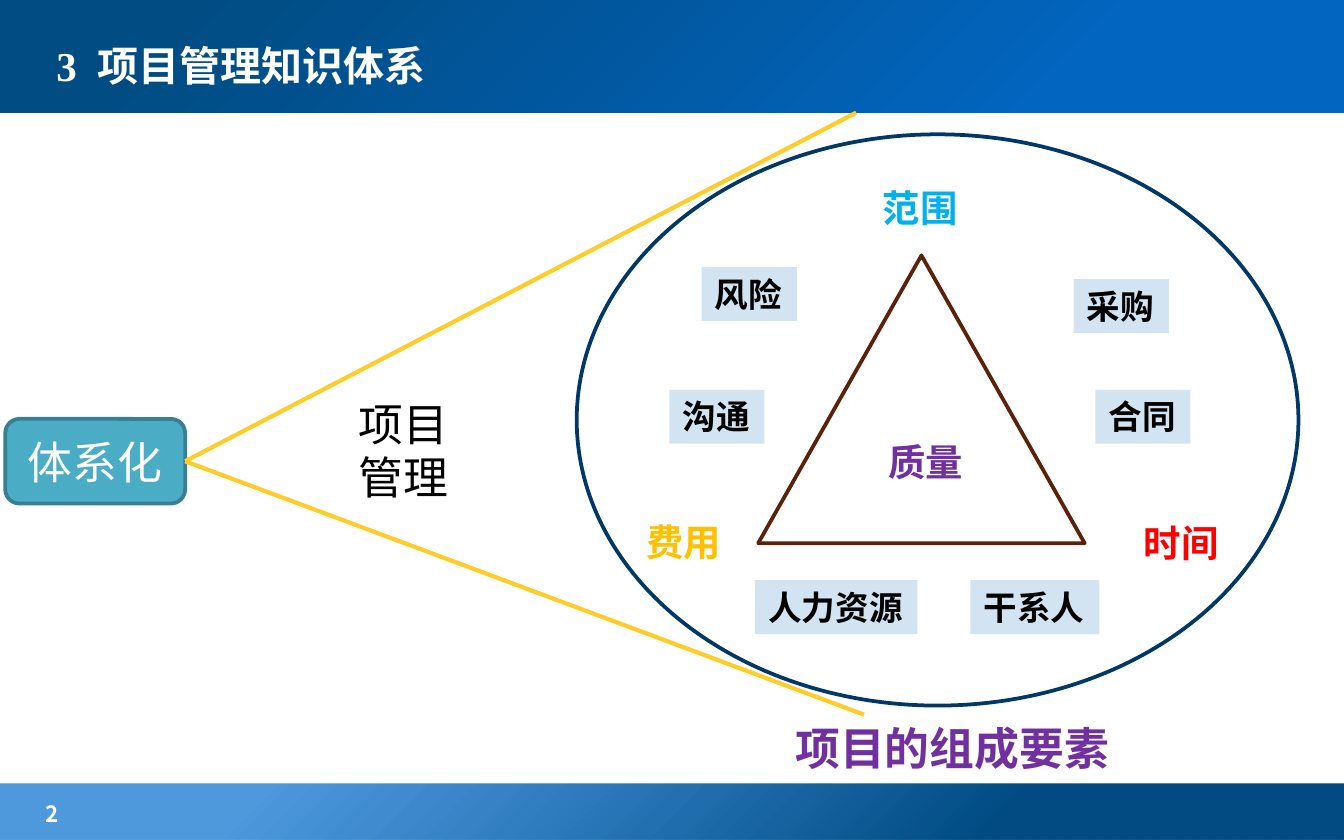
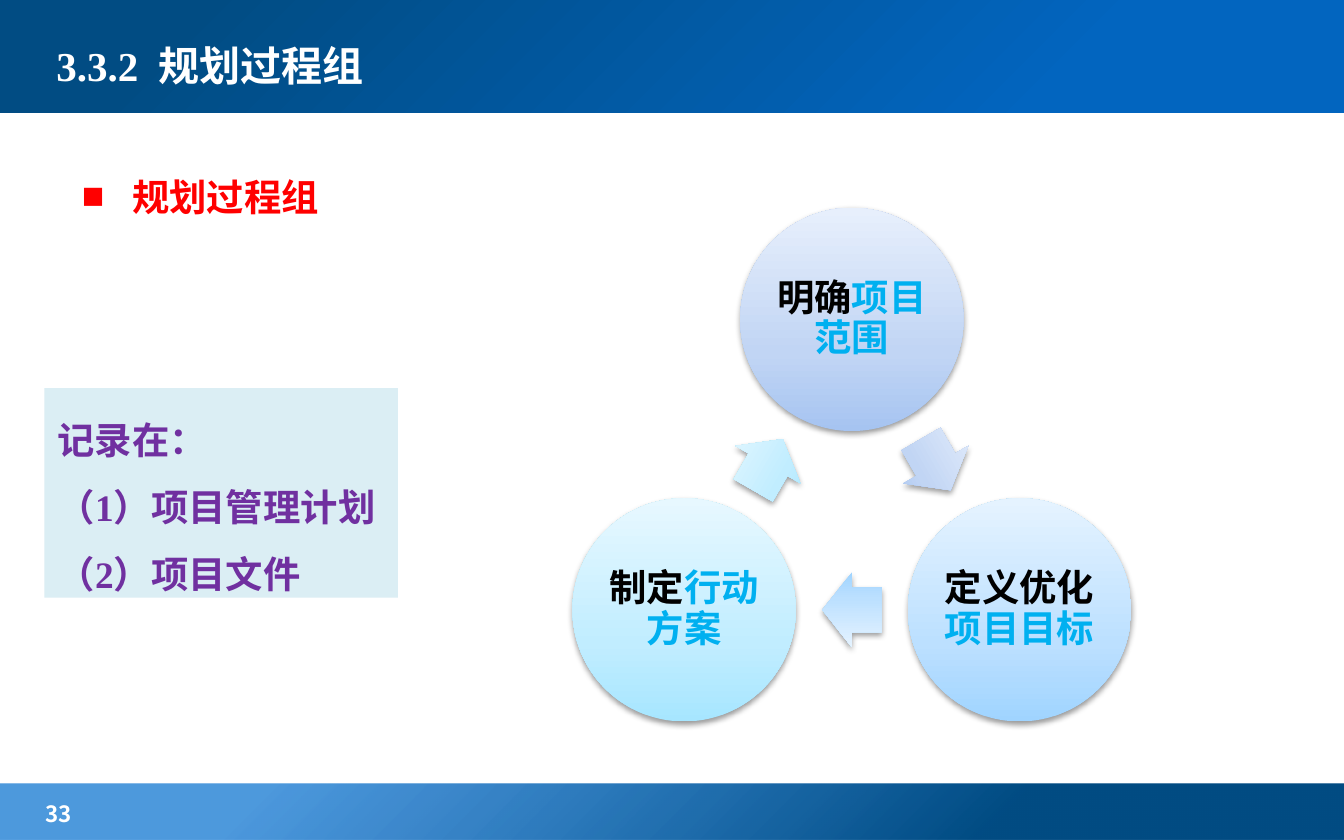
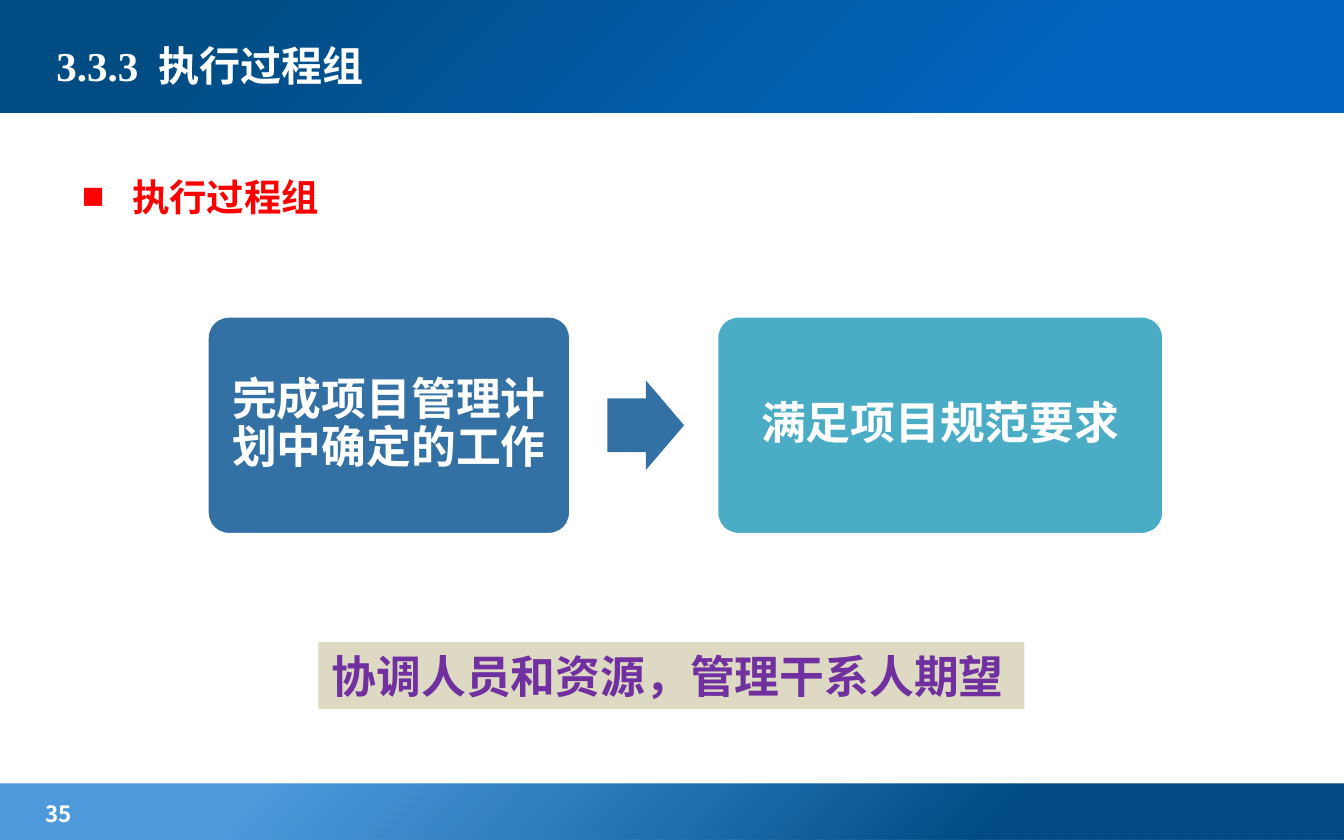
"""Build three slides on the project management body of knowledge."""
from math import cos, radians, sin

from lxml import etree
from pptx import Presentation
from pptx.dml.color import RGBColor
from pptx.enum.shapes import MSO_CONNECTOR, MSO_SHAPE
from pptx.enum.text import MSO_ANCHOR, MSO_AUTO_SIZE, PP_ALIGN
from pptx.oxml import parse_xml
from pptx.oxml.ns import nsdecls, qn
from pptx.util import Cm, Pt

RECT = MSO_SHAPE.RECTANGLE
ROUND = MSO_SHAPE.ROUNDED_RECTANGLE
OVAL = MSO_SHAPE.OVAL
PEAK = MSO_SHAPE.ISOSCELES_TRIANGLE
ARROW = MSO_SHAPE.RIGHT_ARROW
STRAIGHT = MSO_CONNECTOR.STRAIGHT
TOP, MIDDLE = MSO_ANCHOR.TOP, MSO_ANCHOR.MIDDLE
LEFT, CENTER = PP_ALIGN.LEFT, PP_ALIGN.CENTER
GROW, FIXED = MSO_AUTO_SIZE.SHAPE_TO_FIT_TEXT, MSO_AUTO_SIZE.NONE

SANS, SERIF, PLAIN = "Noto Sans CJK SC", "Times New Roman", "Roboto"
COLORS = {
    "white": "FFFFFF", "black": "000000", "red": "FF0000", "sky": "00B0F0",
    "gold": "FFC000", "purple": "7030A0", "navy": "013868", "brown": "5C210A",
    "ray": "FFCC29", "teal": "4BACC6", "rim": "377F92", "label": "D2E3F1",
    "note": "DBEEF4", "sand": "DDD9C3", "steel": "3371A4",
    "deep": "014C83", "blue": "0265BF", "light": "026DCE",
}
CORNER = '<a:path path="circle"><a:fillToRect l="100000" t="100000"/></a:path>'
RISE = '<a:lin ang="16200000" scaled="0"/>'


class Deck:
    """Hold the style and the current slide."""

    def __init__(self):
        self.prs = Presentation()
        self.prs.slide_width, self.prs.slide_height = Cm(25.4), Cm(15.88)
        self.layout = self.prs.slide_layouts[5]
        for holder in list(self.layout.placeholders)[1:]:
            holder.element.getparent().remove(holder.element)
        self.slide = None

    def page(self, title, number):
        self.slide = self.prs.slides.add_slide(self.layout)
        if len(self.prs.slides) == 1:
            self.bands()
        head = self.slide.shapes.title
        head.left, head.top, head.width, head.height = map(Cm, (0.81, 0.33, 16.2, 1.8))
        self.put(head, [[(title, "white")]], 22, anchor=MIDDLE)
        self.text((0.51, 15.01, 3.99, 0.66), f" {number}", 12, "white", SANS)

    def bands(self):
        foot = self.shape(RECT, (0, 14.81, 25.4, 1.07))
        self.fade(foot, [(26, "deep", 100), (80, "light", 70)], CORNER)
        top = self.shape(RECT, (0, -0.08, 25.4, 2.21))
        self.fade(top, [(21, "blue", 100), (86, "deep", 100)], CORNER)
        for band in (top, foot):
            self.layout.shapes.element.insert(2, band.element)

    def color(self, name):
        return RGBColor.from_string(COLORS.get(name, name))

    def shape(self, kind, box, fill=None, line=None, adj=()):
        item = self.slide.shapes.add_shape(kind, *map(Cm, box))
        item.shadow.inherit = False
        if fill:
            item.fill.solid()
            item.fill.fore_color.rgb = self.color(fill)
        else:
            item.fill.background()
        if line:
            item.line.color.rgb = self.color(line)
            item.line.width = Pt(2)
        else:
            item.line.fill.background()
        for i, value in enumerate(adj):
            item.adjustments[i] = value
        return item

    def fade(self, item, stops, course):
        marks = "".join(
            f'<a:gs pos="{at * 1000}"><a:srgbClr val="{self.color(name)}">'
            f'<a:alpha val="{alpha * 1000}"/></a:srgbClr></a:gs>'
            for at, name, alpha in stops)
        props = item.element.spPr
        props.replace(props.find(qn("a:noFill")), parse_xml(
            f'<a:gradFill {nsdecls("a")} rotWithShape="1">'
            f'<a:gsLst>{marks}</a:gsLst>{course}</a:gradFill>'))

    def shade(self, item):
        item.element.spPr.find(qn("a:effectLst")).append(parse_xml(
            f'<a:outerShdw {nsdecls("a")} blurRad="40000" dist="20000" dir="5400000" '
            'rotWithShape="0"><a:srgbClr val="000000"><a:alpha val="38000"/>'
            '</a:srgbClr></a:outerShdw>'))

    def put(self, item, paras, size, font=SERIF, bold=True, align=LEFT,
            anchor=TOP, gap=None, inset=None, fit=FIXED, wrap=True):
        frame = item.text_frame
        frame.word_wrap, frame.auto_size = wrap, fit
        frame.vertical_anchor = anchor
        if inset is not None:
            frame.margin_left = frame.margin_right = Cm(inset)
            frame.margin_top = frame.margin_bottom = Cm(inset)
        for i, runs in enumerate(paras):
            para = frame.add_paragraph() if i else frame.paragraphs[0]
            para.alignment = align
            if gap:
                para.line_spacing = gap
            for words, color in runs:
                run = para.add_run()
                run.text = words
                run.font.size, run.font.bold = Pt(size), bold
                run.font.name = font
                run.font.color.rgb = self.color(color)
                east = etree.SubElement(run.font._element, qn("a:ea"))
                east.set("typeface", SANS)

    def text(self, box, words, size, color, font=SERIF, **style):
        item = self.slide.shapes.add_textbox(*map(Cm, box))
        self.put(item, [[(words, color)]], size, font, **style)
        return item

    def label(self, box, words, size=18, color="black", fill="label", font=PLAIN):
        item = self.shape(RECT, box, fill)
        self.put(item, [[(words, color)]], size, font, fit=GROW, wrap=False)

    def bullet(self, words):
        item = self.text((1.3, 2.74, 22.81, 9.91), words, 20, "red", gap=1.5)
        props = item.text_frame.paragraphs[0]._p.get_or_add_pPr()
        props.set("marL", str(Cm(0.95)))
        props.set("indent", str(-Cm(0.95)))
        etree.SubElement(props, qn("a:buFont")).set("typeface", SERIF)
        etree.SubElement(props, qn("a:buChar")).set("char", "■")

    def ray(self, x, y, goal):
        line = self.slide.shapes.add_connector(STRAIGHT, Cm(x), Cm(y), Cm(x), Cm(y))
        line.end_connect(goal, 3)
        line.line.color.rgb = self.color("ray")
        line.line.width = Pt(2.25)
        etree.SubElement(line.element.spPr, qn("a:effectLst"))


def system(deck):
    deck.page("3  项目管理知识体系", 2)
    deck.text((14.78, 13.51, 6.78, 1.45), "项目的组成要素", 24, "purple", SANS)
    for x, y, words, color in (
            (15.49, 3.48, "范围", "sky"),
            (20.42, 9.8, "时间", "red"),
            (11.02, 9.78, "费用", "gold")):
        deck.text((x, y, 3.81, 1.02), words, 20, color, SANS,
                  align=CENTER, gap=0.9, fit=GROW)
    deck.label((16.54, 8.18, 2.16, 1.12), "质量", 20, "purple", "white", SERIF)
    deck.shape(OVAL, (10.9, 2.54, 13.64, 10.8), line="navy")
    deck.shape(PEAK, (14.33, 4.83, 6.17, 5.44), line="brown")
    for x, y, width, words, font in (
            (13.26, 5.05, 1.8, "风险", PLAIN),
            (18.34, 10.97, 2.44, "干系人", PLAIN),
            (14.27, 10.97, 3.07, "人力资源", PLAIN),
            (12.65, 7.37, 1.8, "沟通", SERIF),
            (20.29, 5.28, 1.8, "采购", PLAIN),
            (20.7, 7.37, 1.8, "合同", SERIF)):
        deck.label((x, y, width, 1.02), words, font=font)
    core = deck.shape(ROUND, (0.1, 7.92, 3.4, 1.6), "teal", "rim")
    deck.put(core, [[("体系化", "white")]], 24, PLAIN, False, CENTER, MIDDLE)
    deck.ray(16.18, 2.13, core)
    deck.ray(16.33, 13.51, core)
    deck.text((6.53, 7.37, 2.49, 2.31), "项目管理", 24, "black", PLAIN,
              bold=False, fit=GROW)


def plan(deck):
    deck.page("3.3.2  规划过程组", 33)
    deck.bullet("规划过程组")
    note = deck.shape(RECT, (0.84, 7.34, 6.68, 3.96), "note")
    deck.put(note, [[("记录在：", "purple")],
                    [("（1）项目管理计划（2）项目文件", "purple")]],
             20, gap=1.5, fit=GROW)
    mid_x, mid_y, reach = 16.1, 9.7, 3.66
    size, long, wide = 4.22, 1.12, 1.42
    steps = (("明确", "项目范围", "A6C4F1", "C1D5F4", "E7EFFC"),
             ("定义优化", "项目目标", "A0D4FF", "BCE0FF", "E5F3FF"),
             ("制定", "行动方案", "A7E6FF", "C1EDFF", "E7F8FF"))
    for i, (verb, noun, low, mid, high) in enumerate(steps):
        stops = [(0, low, 100), (35, mid, 100), (100, high, 100)]
        turn = radians(120 * i - 90)
        x, y = mid_x + reach * cos(turn), mid_y + reach * sin(turn)
        disc = deck.shape(OVAL, (x - size / 2, y - size / 2, size, size))
        deck.put(disc, [[(verb, "black"), (noun, "sky")]], 20,
                 align=CENTER, anchor=MIDDLE, gap=0.9, inset=0.05)
        turn = radians(120 * i - 30)
        x, y = mid_x + reach / 2 * cos(turn), mid_y + reach / 2 * sin(turn)
        arrow = deck.shape(ARROW, (x - long / 2, y - wide / 2, long, wide),
                           adj=(0.6, 0.5))
        arrow.rotation = 60 + 120 * i
        for item in (disc, arrow):
            deck.fade(item, stops, RISE)
            deck.shade(item)


def act(deck):
    deck.page("3.3.3  执行过程组", 35)
    deck.bullet("执行过程组")
    for x, width, words, fill in (
            (3.91, 6.88, "完成项目管理计划中确定的工作", "steel"),
            (13.54, 8.46, "满足项目规范要求", "teal")):
        card = deck.shape(ROUND, (x, 5.97, width, 4.14), fill, "white", (0.1,))
        deck.put(card, [[(words, "white")]], 24, align=CENTER,
                 anchor=MIDDLE, gap=0.9, inset=0.25)
    deck.shape(ARROW, (11.48, 7.19, 1.45, 1.7), "steel", adj=(0.6, 0.5))
    deck.label((6.02, 12.14, 13.34, 1.27), "协调人员和资源，管理干系人期望",
               24, "purple", "sand", SERIF)


def main():
    deck = Deck()
    for build in (system, plan, act):
        build(deck)
    deck.prs.save("out.pptx")


if __name__ == "__main__":
    main()
